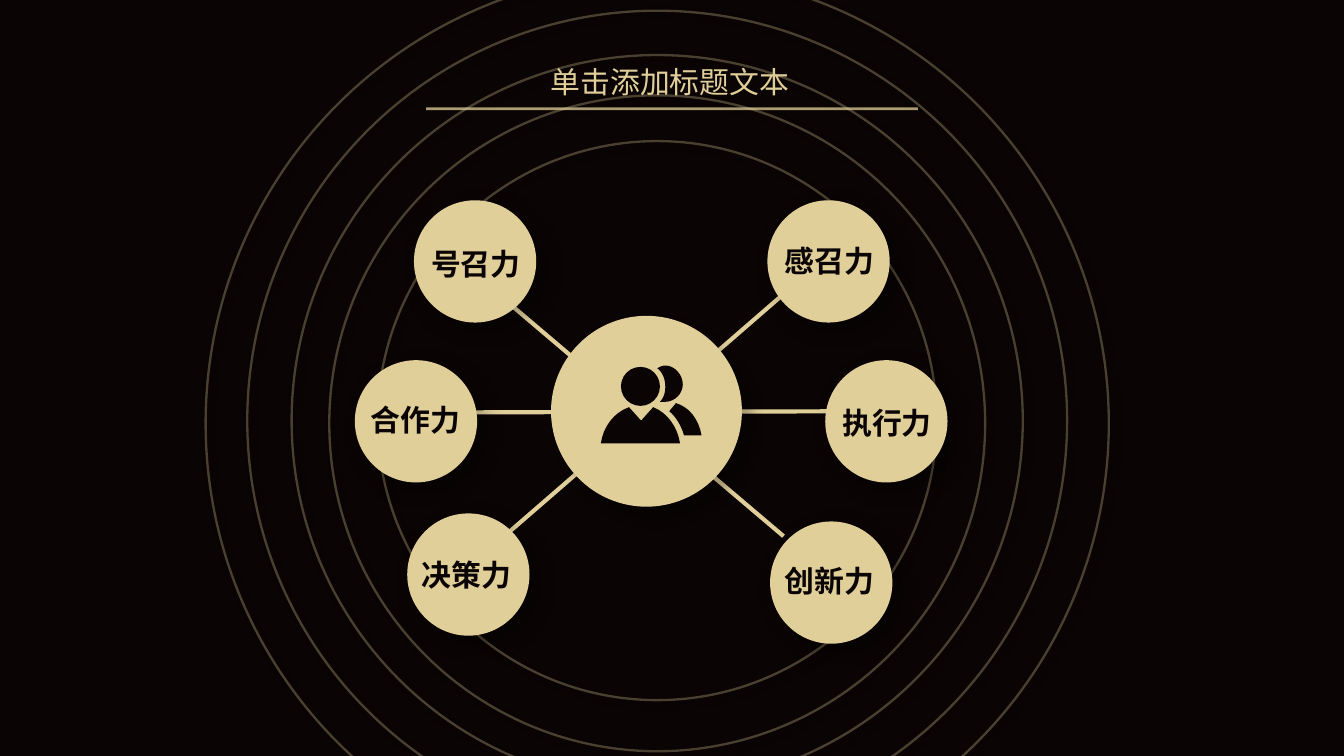
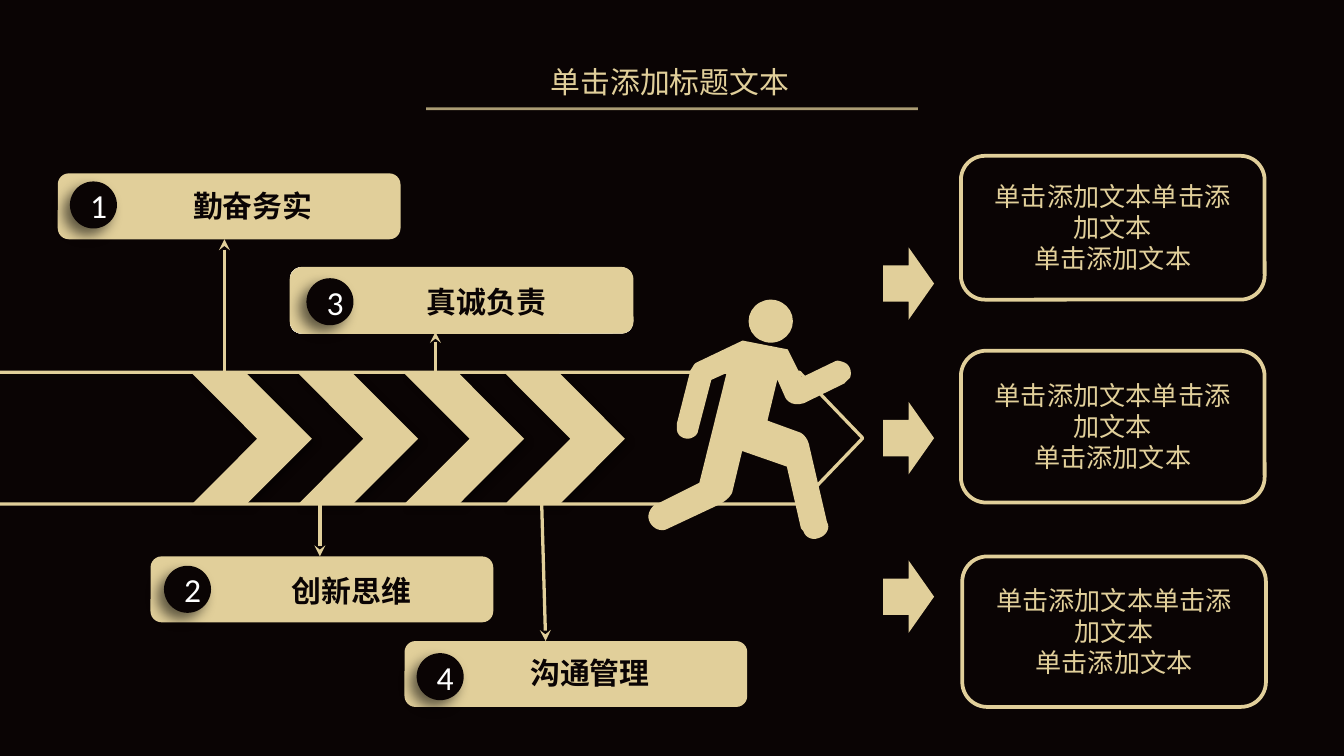
from lxml import etree
from pptx import Presentation
from pptx.dml.color import RGBColor
from pptx.enum.shapes import MSO_CONNECTOR, MSO_SHAPE
from pptx.enum.text import MSO_ANCHOR, MSO_AUTO_SIZE, PP_ALIGN
from pptx.oxml.ns import qn
from pptx.util import Inches, Pt

OVAL, ROUND = MSO_SHAPE.OVAL, MSO_SHAPE.ROUNDED_RECTANGLE
CHEVRON, PENTAGON, ARROW = MSO_SHAPE.CHEVRON, MSO_SHAPE.PENTAGON, MSO_SHAPE.RIGHT_ARROW
STRAIGHT = MSO_CONNECTOR.STRAIGHT
LEFT, CENTER, JUSTIFY = PP_ALIGN.LEFT, PP_ALIGN.CENTER, PP_ALIGN.JUSTIFY
MIDDLE, GROW = MSO_ANCHOR.MIDDLE, MSO_AUTO_SIZE.SHAPE_TO_FIT_TEXT

COLORS = {"dark": "0A0404", "gold": "E1CF9A", "white": "FFFFFF",
          "grey": "D9D9D9", "shadow": "000000"}
CJK = "Noto Sans CJK SC"

SOFT = (40, 4, 3, 45)
NODE = (28, 12, 6, 45)
HUB = (25, 7, 8, 45)
BADGE = (57, 7, 5, 135)

RINGS = [(2.81, 1.05, 4.16), (2.45, 0.71, 4.88), (2.17, 0.41, 5.44),
         (1.84, 0.08, 6.1), (1.53, -0.21, 6.72)]
SPOKES = [(3.19, 1.75, 5.83, 3.99), (3.07, 3.07, 6.38, 3.06), (3.51, 4.2, 5.99, 2.05)]
ABILITIES = [
    ("号召力", 3.08, 1.49, 3.11, 1.78), ("合作力", 2.64, 2.68, 2.66, 2.94),
    ("决策力", 3.03, 3.82, 3.04, 4.09), ("感召力", 5.71, 1.49, 5.74, 1.76),
    ("执行力", 6.14, 2.68, 6.17, 2.96), ("创新力", 5.73, 3.88, 5.74, 4.14),
]
BACK_BODY = [(5.03, 3), (4.98, 3.06), (5.03, 3.1, 5.07, 3.17, 5.09, 3.24),
             (5.22, 3.24), (5.2, 3.12, 5.13, 3.03, 5.03, 3)]
BACK_HEAD = [(4.95, 2.88), (4.95, 2.92, 4.94, 2.96, 4.91, 2.99),
             (4.93, 2.99, 4.94, 2.99, 4.95, 2.99), (5.02, 2.99, 5.08, 2.93, 5.08, 2.86),
             (5.08, 2.79, 5.02, 2.72, 4.95, 2.72), (4.93, 2.72, 4.91, 2.73, 4.89, 2.74),
             (4.93, 2.77, 4.95, 2.82, 4.95, 2.88)]
FRONT_BODY = [(5.06, 3.3), (5.04, 3.17, 4.96, 3.07, 4.86, 3.03), (4.77, 3.13),
              (4.68, 3.03), (4.57, 3.07, 4.49, 3.17, 4.47, 3.3)]
RUNNER = [
    (4.91, 3.81), (4.93, 3.8), (5.23, 3.62), (5.37, 2.79), (5.26, 2.85), (5.19, 3.24),
    (5.19, 3.26, 5.17, 3.28, 5.15, 3.29), (5.12, 3.31, 5.06, 3.3, 5.04, 3.26),
    (5.03, 3.24, 5.03, 3.21, 5.03, 3.19), (5.1, 2.79),
    (5.12, 2.76, 5.12, 2.74, 5.14, 2.73), (5.47, 2.54), (5.81, 2.58), (5.93, 2.78),
    (6.17, 2.64), (6.19, 2.63, 6.21, 2.64, 6.22, 2.64),
    (6.27, 2.65, 6.3, 2.69, 6.29, 2.75), (6.28, 2.77, 6.27, 2.77, 6.25, 2.8),
    (5.96, 2.97), (5.86, 3.01, 5.82, 2.94, 5.82, 2.94), (5.75, 2.81), (5.7, 3.12),
    (5.95, 3.19), (5.95, 3.19, 6.01, 3.21, 6.03, 3.3), (6.2, 3.84),
    (6.23, 3.88, 6.2, 3.93, 6.17, 3.95), (6.11, 3.99, 6.05, 3.97, 6.03, 3.92),
    (6.01, 3.9), (5.87, 3.45), (5.53, 3.36), (5.48, 3.67),
    (5.48, 3.67, 5.47, 3.72, 5.39, 3.77), (5.02, 3.98),
    (4.99, 4, 4.94, 4, 4.9, 3.96), (4.86, 3.92, 4.86, 3.86, 4.91, 3.81),
]
POINTERS = [(3.24, 2.47, 3.24, 2.77), (1.67, 1.78, 1.67, 2.77),
            (4.06, 4.77, 4.03, 3.73), (2.38, 4.14, 2.38, 3.73)]
BANNERS = [
    ("1", "勤奋务实", (0.43, 1.29), (0.52, 1.35), (0.8, 1.4, 2.16), "Arial"),
    ("2", "创新思维", (1.12, 4.14), (1.22, 4.21), (1.6, 4.26, 2.03), CJK),
    ("3", "真诚负责", (2.16, 1.99), (2.28, 2.07), (2.58, 2.11, 2.08), "Arial"),
    ("4", "沟通管理", (3.01, 4.77), (3.1, 4.86), (3.31, 4.87, 2.16), "Arial"),
]
NOTES = [(7.15, 1.16, 1.07), (7.15, 2.61, 1.13), (7.16, 4.14, 1.12)]


def rgb(name):
    return RGBColor.from_string(COLORS[name])


def paint(sp, fill=None, line=None, alpha=None, shadow=None):
    if fill:
        sp.fill.solid()
        sp.fill.fore_color.rgb = rgb(fill)
    else:
        sp.fill.background()
    if line:
        stroke(sp, line, alpha)
    else:
        sp.line.fill.background()
    sp.shadow.inherit = False
    if shadow:
        opacity, blur, dist, angle = shadow
        effects = sp._element.spPr.find(qn("a:effectLst"))
        outer = etree.SubElement(effects, qn("a:outerShdw"), blurRad=str(Pt(blur)),
                                 dist=str(Pt(dist)), dir=str(angle * 60000),
                                 algn="tl", rotWithShape="0")
        color = etree.SubElement(outer, qn("a:srgbClr"), val=COLORS["shadow"])
        etree.SubElement(color, qn("a:alpha"), val=str(opacity * 1000))
    return sp


def stroke(sp, width, alpha=None):
    sp.line.color.rgb = rgb("gold")
    sp.line.width = Pt(width)
    if alpha:
        color = sp._element.spPr.find(qn("a:ln")).find(".//" + qn("a:srgbClr"))
        etree.SubElement(color, qn("a:alpha"), val=str(alpha * 1000))


def add_shape(s, kind, x, y, w, h, adj=None, **style):
    sp = s.shapes.add_shape(kind, Inches(x), Inches(y), Inches(w), Inches(h))
    if adj is not None:
        sp.adjustments[0] = adj
    return paint(sp, **style)


def add_line(s, x1, y1, x2, y2, width, alpha=None, arrow=False):
    c = s.shapes.add_connector(STRAIGHT, Inches(x1), Inches(y1), Inches(x2), Inches(y2))
    stroke(c, width, alpha)
    spPr = c._element.spPr
    if arrow:
        etree.SubElement(spPr.find(qn("a:ln")), qn("a:headEnd"), type="stealth")
    etree.SubElement(spPr, qn("a:effectLst"))


def flatten(outline, steps=8):
    points = [outline[0]]
    for seg in outline[1:]:
        if len(seg) == 2:
            points.append(seg)
            continue
        x0, y0 = points[-1]
        x1, y1, x2, y2, x3, y3 = seg
        for i in range(1, steps + 1):
            t = i / steps
            a, b, c, d = (1 - t) ** 3, 3 * t * (1 - t) ** 2, 3 * t * t * (1 - t), t ** 3
            points.append((a * x0 + b * x1 + c * x2 + d * x3,
                           a * y0 + b * y1 + c * y2 + d * y3))
    return points


def add_outline(s, outline, fill, rotation=0):
    points = [(Inches(x), Inches(y)) for x, y in flatten(outline)]
    builder = s.shapes.build_freeform(*points[0], scale=1.0)
    builder.add_line_segments(points[1:], close=True)
    sp = paint(builder.convert_to_shape(), fill=fill)
    sp.rotation = rotation


def write(sp, text, size=16, color="gold", font=CJK, bold=False, align=LEFT,
          spacing=None, anchor=None):
    tf = sp.text_frame
    tf.word_wrap = True
    if anchor is not None:
        tf.vertical_anchor = anchor
    for i, line in enumerate(text.split("\n")):
        p = tf.add_paragraph() if i else tf.paragraphs[0]
        p.alignment = align
        if spacing:
            p.line_spacing = spacing
        r = p.add_run()
        r.text = line
        r.font.size = Pt(size)
        r.font.name = font
        r.font.bold = bold
        r.font.color.rgb = rgb(color)
        etree.SubElement(r.font._element, qn("a:ea"), typeface=CJK)


def add_text(s, text, x, y, w, h, inset=True, **fmt):
    box = s.shapes.add_textbox(Inches(x), Inches(y), Inches(w), Inches(h))
    tf = box.text_frame
    tf.auto_size = GROW
    if not inset:
        tf.margin_left = tf.margin_right = tf.margin_top = tf.margin_bottom = 0
    write(box, text, **fmt)


def add_titled_slide(prs):
    s = prs.slides.add_slide(prs.slide_layouts[6])
    s.background.fill.solid()
    s.background.fill.fore_color.rgb = rgb("dark")
    add_line(s, 3.17, 0.81, 6.83, 0.81, 1.5, alpha=75)
    add_text(s, "单击添加标题文本", 4, 0.29, 2, 0.46, align=JUSTIFY, spacing=1.5)
    return s


def add_team_icon(s):
    add_shape(s, OVAL, 4.1, 2.35, 1.42, 1.42, fill="gold", shadow=HUB)
    add_outline(s, BACK_BODY, "dark")
    add_outline(s, BACK_HEAD, "dark")
    add_shape(s, OVAL, 4.62, 2.73, 0.29, 0.29, fill="dark")
    add_outline(s, FRONT_BODY, "dark")


def add_banner(s, number, text, corner, badge, label, font):
    x, y = corner
    sp = add_shape(s, ROUND, x, y, 2.55, 0.49, fill="gold")
    if number == "3":
        sp.fill.gradient()
        sp.fill.gradient_angle = 225
        for stop, color in zip(sp.fill.gradient_stops, ("white", "grey")):
            stop.color.rgb = rgb(color)
        add_shape(s, ROUND, x + 0.01, y + 0.01, 2.53, 0.47, fill="gold", line=2)
    dot = add_shape(s, OVAL, *badge, 0.35, 0.35, fill="dark", shadow=BADGE)
    write(dot, number, size=18, color="white", font="Calibri", align=CENTER, anchor=MIDDLE)
    add_text(s, text, *label, 0.27, inset=False, color="dark", font=font,
             bold=True, align=CENTER)


def add_note(s, x, y, h):
    add_shape(s, ROUND, x, y, 2.26, h, line=2)
    inner = add_shape(s, ROUND, x + 0.03, y + 0.03, 2.2, h - 0.07)
    write(inner, "单击添加文本单击添加文本\n单击添加文本", size=14, align=CENTER, anchor=MIDDLE)


def build_abilities(prs):
    s = add_titled_slide(prs)
    for x, y, d in RINGS:
        add_shape(s, OVAL, x, y, d, d, line=1.25, alpha=30, shadow=SOFT)
    for spoke in SPOKES:
        add_line(s, *spoke, 2.25)
    for _, x, y, _, _ in ABILITIES:
        add_shape(s, OVAL, x, y, 0.91, 0.91, fill="gold", shadow=NODE)
    add_team_icon(s)
    for text, _, _, x, y in ABILITIES:
        add_text(s, text, x, y, 0.94, 0.37, color="dark", bold=True)


def build_progress(prs):
    s = add_titled_slide(prs)
    for x in (1.43, 2.22, 3.01, 3.76):
        add_shape(s, CHEVRON, x, 2.78, 0.89, 0.97, adj=0.544, fill="gold", shadow=SOFT)
    for pointer in POINTERS:
        add_line(s, *pointer, 1.75, arrow=True)
    add_shape(s, PENTAGON, -0.04, 2.77, 6.46, 0.98, adj=0.48, line=1.75)
    for banner in BANNERS:
        add_banner(s, *banner)
    add_shape(s, OVAL, 5.57, 2.23, 0.33, 0.32, fill="gold")
    add_outline(s, RUNNER, "gold", rotation=4.4)
    for y in (1.84, 2.99, 4.17):
        add_shape(s, ARROW, 6.57, y, 0.38, 0.54, fill="gold")
    for note in NOTES:
        add_note(s, *note)


def main():
    prs = Presentation()
    prs.slide_width = Inches(10)
    prs.slide_height = prs.slide_width * 9 // 16
    build_abilities(prs)
    build_progress(prs)
    prs.save("out.pptx")


if __name__ == "__main__":
    main()
